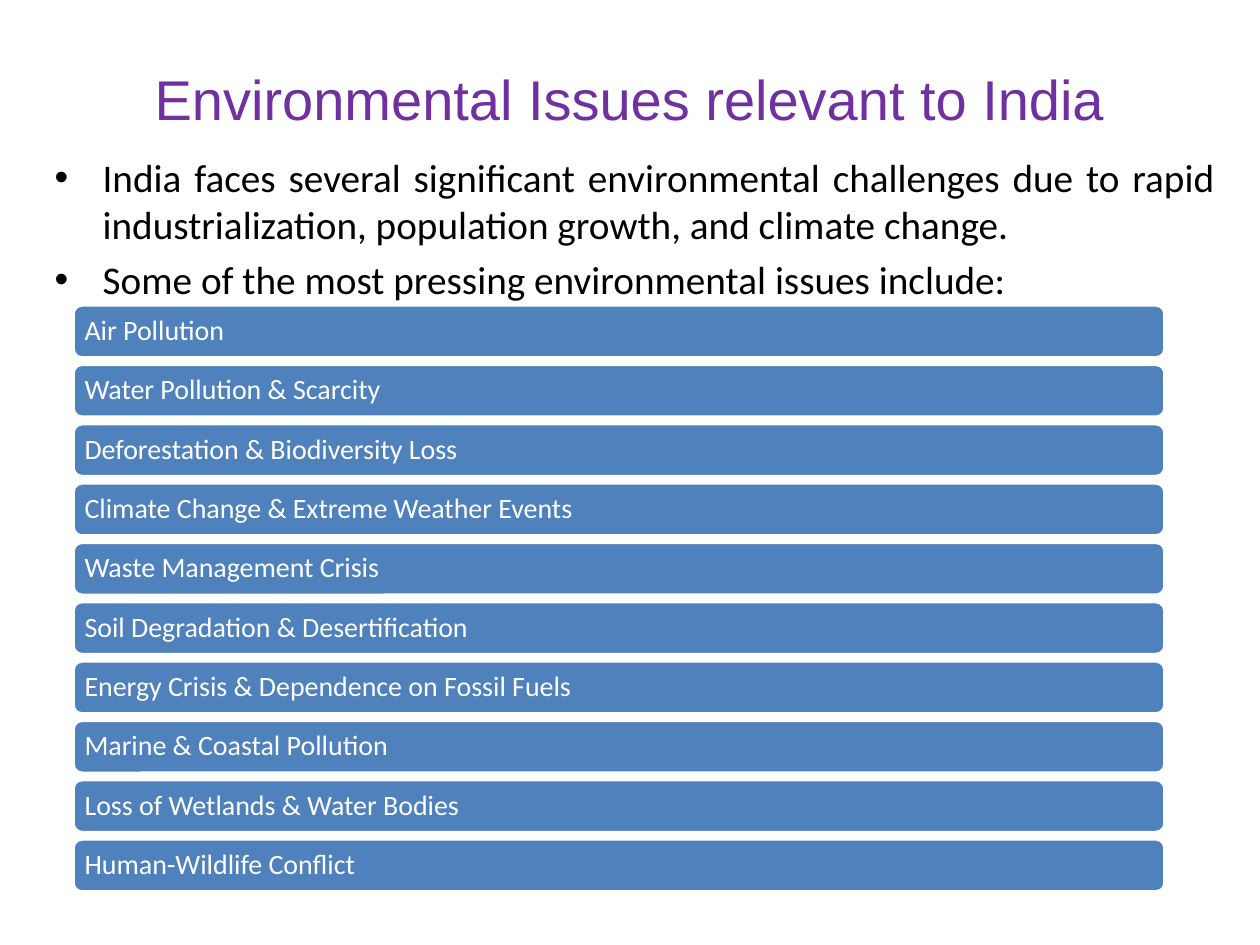
from pptx import Presentation
from pptx import util as u
from pptx.dml.color import RGBColor
from pptx.enum import shapes, text
from pptx.oxml import parse_xml
from pptx.oxml.ns import nsdecls

TITLE = "Environmental Issues relevant to India"
POINTS = [
    "India faces several significant environmental challenges due to rapid "
    "industrialization, population growth, and climate change.",
    "Some of the most pressing environmental issues include:",
]
ISSUES = [
    "Air Pollution",
    "Water Pollution & Scarcity",
    "Deforestation & Biodiversity Loss",
    "Climate Change & Extreme Weather Events",
    "Waste Management Crisis",
    "Soil Degradation & Desertification",
    "Energy Crisis & Dependence on Fossil Fuels",
    "Marine & Coastal Pollution",
    "Loss of Wetlands & Water Bodies",
    "Human-Wildlife Conflict",
]

PURPLE = RGBColor(0x70, 0x30, 0xA0)
BLUE = RGBColor(0x4F, 0x81, 0xBD)
BLACK = RGBColor(0, 0, 0)
WHITE = RGBColor(255, 255, 255)

BAR_LEFT, BAR_WIDTH, BAR_HEIGHT = 73, 1092, 53
FIRST_TOP, LAST_TOP = 305, 839


def px(count):
    return round(count * 914400 / 126)


def place(box, left, top, width, height):
    box.left, box.top = px(left), px(top)
    box.width, box.height = px(width), px(height)


def style(para, name, size, color, align):
    para.alignment = align
    para.font.name, para.font.size = name, u.Pt(size)
    para.font.color.rgb = color


def add_title(page):
    box = page.shapes.title
    place(box, 63, 57, 1134, 118)
    frame = box.text_frame
    frame.text = TITLE
    frame.auto_size = text.MSO_AUTO_SIZE.NONE
    frame.vertical_anchor = text.MSO_ANCHOR.MIDDLE
    frame.margin_bottom = px(42)
    style(frame.paragraphs[0], "Arial", 32, PURPLE, text.PP_ALIGN.CENTER)


def add_points(page):
    box = page.placeholders[1]
    place(box, 42, 147, 1187, 189)
    frame = box.text_frame
    frame.text = "\n".join(POINTS)
    frame.auto_size = text.MSO_AUTO_SIZE.NONE
    for index, para in enumerate(frame.paragraphs):
        props = para._p.get_or_add_pPr()
        props.set("marL", str(px(48)))
        props.set("indent", str(px(-48)))
        props.append(parse_xml(f'<a:buFont {nsdecls("a")} typeface="Arial"/>'))
        props.append(parse_xml(f'<a:buChar {nsdecls("a")} char="•"/>'))
        para.space_before = u.Pt(4.5 if index else 0)
        style(para, "Calibri", 22.4, BLACK, text.PP_ALIGN.JUSTIFY)


def add_bar(page, label, top):
    bar = page.shapes.add_shape(
        shapes.MSO_SHAPE.ROUNDED_RECTANGLE,
        px(BAR_LEFT), px(top), px(BAR_WIDTH), px(BAR_HEIGHT))
    bar.shadow.inherit = False
    bar.fill.solid()
    bar.fill.fore_color.rgb = BLUE
    bar.line.color.rgb = WHITE
    bar.line.width = u.Pt(2)
    frame = bar.text_frame
    frame.text = label
    frame.word_wrap = True
    frame.vertical_anchor = text.MSO_ANCHOR.MIDDLE
    frame.margin_left = frame.margin_right = px(9)
    frame.margin_top = frame.margin_bottom = px(9)
    para = frame.paragraphs[0]
    para.line_spacing = 0.9
    style(para, "Calibri", 16, WHITE, text.PP_ALIGN.LEFT)


def main():
    deck = Presentation()
    deck.slide_width, deck.slide_height = px(1260), px(945)
    page = deck.slides.add_slide(deck.slide_layouts[1])
    add_title(page)
    add_points(page)
    pitch = (LAST_TOP - FIRST_TOP) / (len(ISSUES) - 1)
    for index, label in enumerate(ISSUES):
        add_bar(page, label, FIRST_TOP + index * pitch)
    deck.save("out.pptx")


if __name__ == "__main__":
    main()
